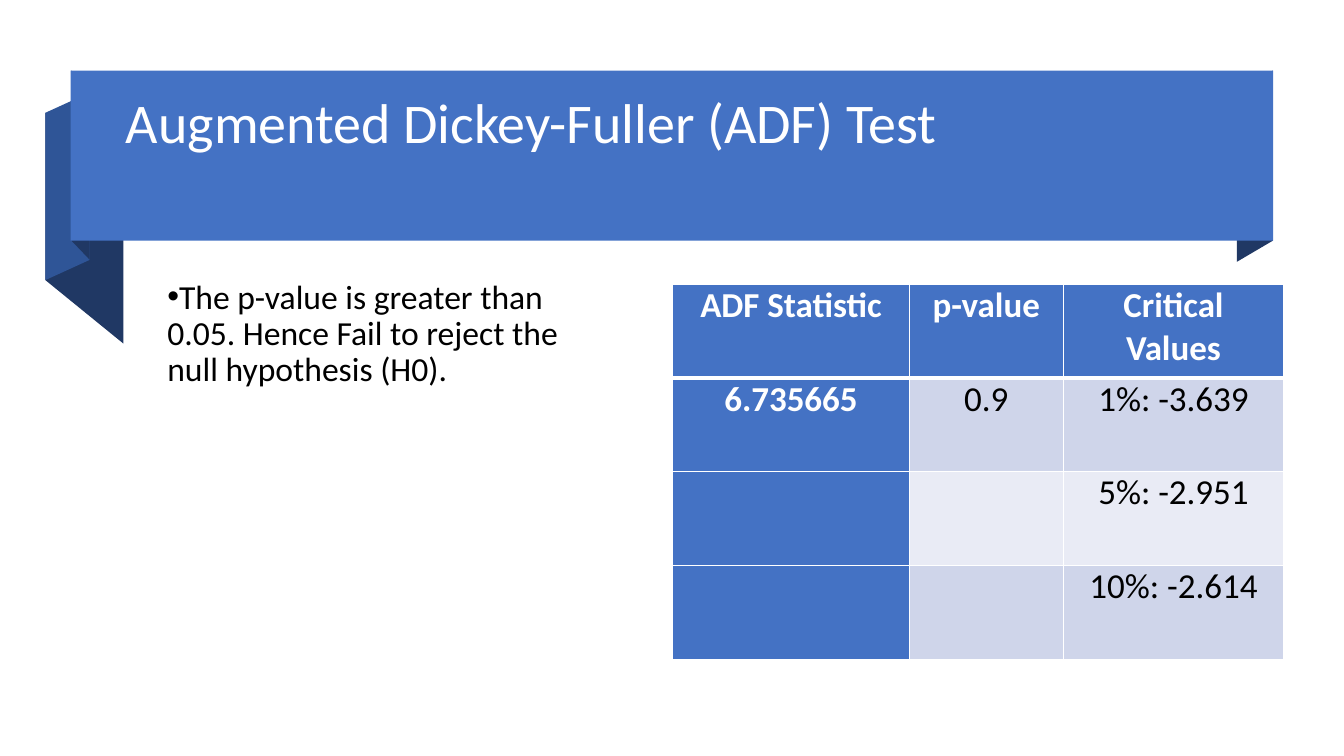
from lxml.etree import SubElement
from pptx import Presentation
from pptx.dml.color import RGBColor
from pptx.enum.shapes import MSO_SHAPE
from pptx.enum.text import MSO_ANCHOR, MSO_AUTO_SIZE, PP_ALIGN
from pptx.oxml.ns import qn
from pptx.util import Pt

BLUE = RGBColor(0x44, 0x72, 0xC4)
MID = RGBColor(0x2F, 0x55, 0x97)
NAVY = RGBColor(0x20, 0x38, 0x64)
PALE = RGBColor(0xE9, 0xEB, 0xF5)
BAND = RGBColor(0xCF, 0xD5, 0xEA)
WHITE = RGBColor(0xFF, 0xFF, 0xFF)
BLACK = RGBColor(0, 0, 0)


def apply(target, values):
    for name, value in values.items():
        setattr(target, name, value)


class Canvas:
    face = "Calibri"

    def __init__(self, slide):
        self.slide = slide
        self.shapes = slide.shapes

    def paint(self, shape, color):
        shape.shadow.inherit = False
        shape.fill.solid()
        shape.fill.fore_color.rgb = color
        shape.line.fill.background()

    def fold(self, left, right, start, end, height, color):
        outline = self.shapes.build_freeform(Pt(left), Pt(start))
        corners = [(right, end), (right, end + height), (left, start + height)]
        outline.add_line_segments([(Pt(x), Pt(y)) for x, y in corners])
        self.paint(outline.convert_to_shape(), color)

    def block(self, box, color):
        shape = self.shapes.add_shape(MSO_SHAPE.RECTANGLE, *map(Pt, box))
        self.paint(shape, color)

    def label(self, frame, text, size, color, bold=False, **layout):
        frame.text = text
        para = frame.paragraphs[0]
        apply(para, layout)
        font = para.runs[0].font
        apply(font, {"name": self.face, "size": Pt(size), "bold": bold})
        font.color.rgb = color
        return para

    def holder(self, index, box, text, size, color, top, **layout):
        shape = self.slide.placeholders[index]
        self.shapes._spTree.append(shape._element)
        apply(shape, dict(zip(("left", "top", "width", "height"), map(Pt, box))))
        frame = shape.text_frame
        apply(frame, {
            "word_wrap": True, "auto_size": MSO_AUTO_SIZE.NONE,
            "vertical_anchor": MSO_ANCHOR.TOP, "margin_top": Pt(top),
        })
        return self.label(frame, text, size, color, line_spacing=0.9,
                          alignment=PP_ALIGN.LEFT, **layout)

    def bullet(self, para, indent):
        props = para._p.get_or_add_pPr()
        props.set("marL", "0")
        props.set("indent", str(Pt(indent)))
        SubElement(props, qn("a:buChar"), char="•")

    def edge(self, cell, side, width):
        line = SubElement(cell._tc.get_or_add_tcPr(), qn("a:ln" + side), w=str(Pt(width)))
        fill = SubElement(line, qn("a:solidFill"))
        SubElement(fill, qn("a:srgbClr"), val=str(WHITE))

    def grid(self, left, top, widths, height, rows):
        shape = self.shapes.add_table(len(rows), len(widths), Pt(left), Pt(top),
                                      Pt(sum(widths)), Pt(height * len(rows)))
        table = shape.table
        for col, width in zip(table.columns, widths):
            col.width = Pt(width)
        for r, row in enumerate(rows):
            table.rows[r].height = Pt(height)
            for c, text in enumerate(row):
                self.cell(table.cell(r, c), text, r, c)

    def cell(self, cell, text, r, c):
        head = r == 0 or c == 0
        apply(cell, {"margin_left": Pt(13.5), "margin_right": Pt(13.5),
                     "margin_top": 0, "margin_bottom": 0})
        thick = {"T": r == 1, "B": r == 0}
        for side in "LRTB":
            self.edge(cell, side, 3 if thick.get(side) else 1)
        cell.fill.solid()
        cell.fill.fore_color.rgb = BLUE if head else BAND if r % 2 else PALE
        if text:
            self.label(cell.text_frame, text, 25, WHITE if head else BLACK,
                       head, alignment=PP_ALIGN.CENTER)


deck = Presentation()
apply(deck, {"slide_width": Pt(960), "slide_height": Pt(540)})
page = Canvas(deck.slides.add_slide(deck.slide_layouts[1]))

page.fold(883.5, 909.2, 65.5, 50.4, 121.5, NAVY)
page.fold(32.4, 88.2, 80.6, 126, 119.5, NAVY)
page.fold(32.4, 64, 80.6, 66.2, 119.5, MID)
page.fold(51, 64, 50.4, 64, 121.5, NAVY)
page.block((50.4, 50.4, 859, 121.5), BLUE)

page.holder(0, (82.8, 59.8, 811.5, 104.5), "Augmented Dickey-Fuller (ADF) Test",
            40, WHITE, 8)
point = page.holder(
    1, (112.3, 196.6, 319, 280.8),
    "The p-value is greater than 0.05. Hence Fail to reject the null hypothesis (H0).",
    24, BLACK, 3.6, space_before=Pt(0), space_after=Pt(6))
page.bullet(point, -18)

page.grid(480.5, 203, (169, 110, 157.5), 67, [
    ("ADF Statistic", "p-value", "Critical Values"),
    ("6.735665", "0.9", "1%: -3.639"),
    ("", "", "5%: -2.951"),
    ("", "", "10%: -2.614"),
])

deck.save("out.pptx")
